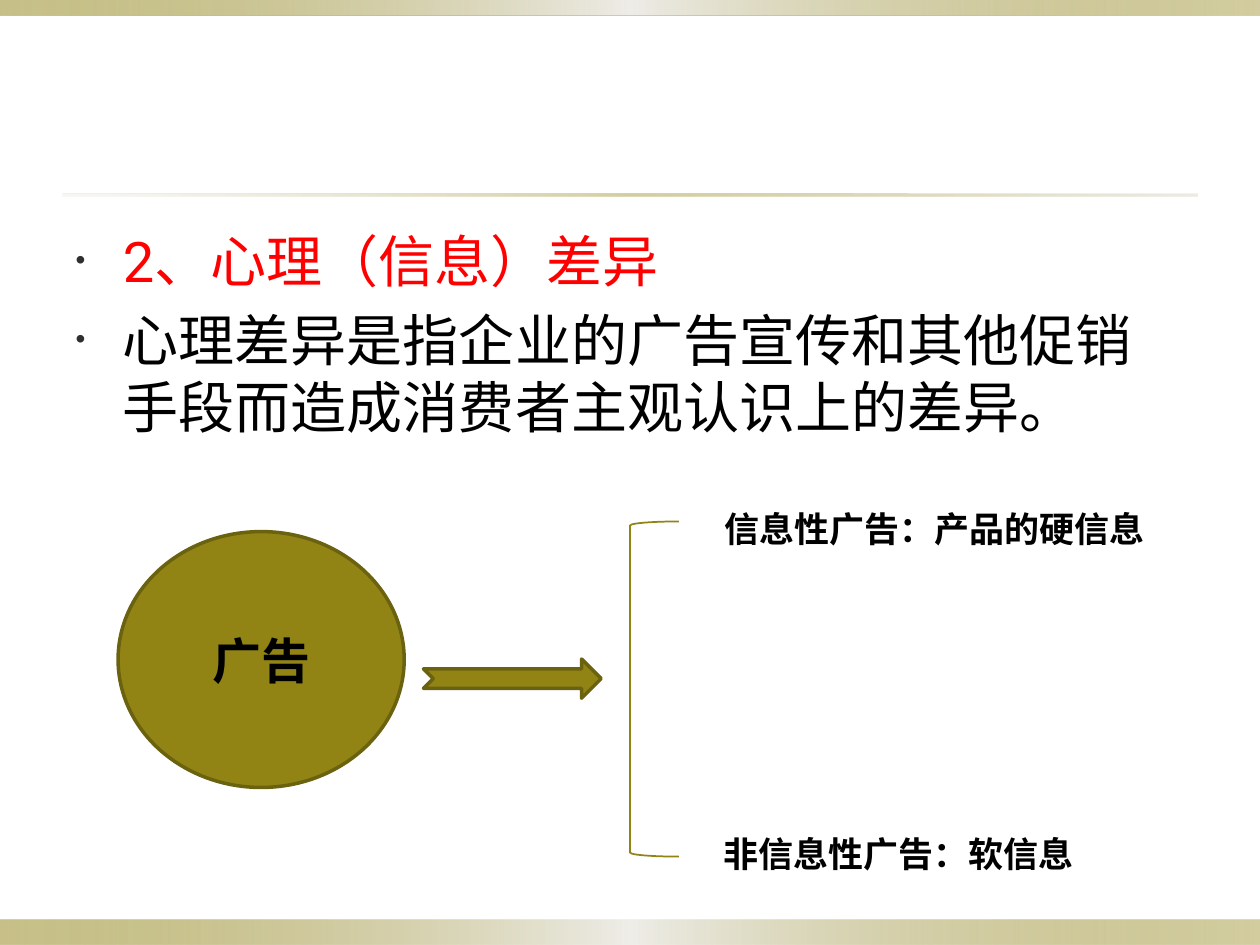
from lxml.etree import SubElement
from pptx import Presentation
from pptx.dml.color import RGBColor
from pptx.enum.shapes import MSO_SHAPE
from pptx.enum.text import MSO_ANCHOR, MSO_AUTO_SIZE, PP_ALIGN
from pptx.oxml.ns import qn
from pptx.util import Pt

COLORS = {
    "olive": "918415",
    "dark_olive": "6B6210",
    "pale": "EEEDE8",
    "sand": "DCD9CC",
    "bullet": "2F2F2F",
    "red": "FF0000",
    "black": "000000",
}


def rgb(name):
    return RGBColor.from_string(COLORS[name])


def write(paragraph, text, size=20, font="Arial", color="black", bold=False,
          align=None):
    paragraph.alignment = align
    run = paragraph.add_run()
    run.text = text
    run.font.size = Pt(size)
    run.font.name = font
    run.font.bold = bold
    run.font.color.rgb = rgb(color)


def add_bullet(paragraph, indent=27):
    properties = paragraph._p.get_or_add_pPr()
    properties.set("marL", str(Pt(indent)))
    properties.set("indent", str(-Pt(indent)))
    paragraph.space_before = Pt(6.4)
    bullet_color = SubElement(properties, qn("a:buClr"))
    SubElement(bullet_color, qn("a:srgbClr"), val=COLORS["bullet"])
    SubElement(properties, qn("a:buSzPct"), val="50000")
    SubElement(properties, qn("a:buFont"), typeface="Arial")
    SubElement(properties, qn("a:buChar"), char="•")


def add_figure(shapes, preset, box, fill=None, line=None, weight=2):
    figure = shapes.add_shape(preset, *map(Pt, box))
    figure.shadow.inherit = False
    if fill:
        figure.fill.solid()
        figure.fill.fore_color.rgb = rgb(fill)
    else:
        figure.fill.background()
    if line:
        figure.line.color.rgb = rgb(line)
        figure.line.width = Pt(weight)
    else:
        figure.line.fill.background()
    return figure


def add_band(shapes, box, stops):
    """Add a horizontal gradient band; stops are (position, colour, opacity)."""
    band = add_figure(shapes, MSO_SHAPE.RECTANGLE, box)
    band.fill.gradient()
    band.fill.gradient_angle = 0
    stop_list = band._element.spPr.find(".//" + qn("a:gsLst"))
    for old_stop in list(stop_list):
        stop_list.remove(old_stop)
    for position, color, opacity in stops:
        stop = SubElement(stop_list, qn("a:gs"), pos=str(position * 1000))
        stop_color = SubElement(stop, qn("a:srgbClr"), val=COLORS[color])
        SubElement(stop_color, qn("a:alpha"), val=str(opacity * 1000))


def add_label(shapes, box, text):
    frame = shapes.add_textbox(*map(Pt, box)).text_frame
    frame.word_wrap = False
    frame.auto_size = MSO_AUTO_SIZE.SHAPE_TO_FIT_TEXT
    write(frame.paragraphs[0], text, bold=True, align=PP_ALIGN.CENTER)


def add_bands(shapes):
    edge_stops = [(0, "olive", 50), (50, "pale", 100), (100, "olive", 40)]
    rule_stops = [(0, "sand", 20), (50, "olive", 40), (100, "sand", 50)]
    add_band(shapes, (0, 525.6, 720, 14.4), edge_stops)
    add_band(shapes, (0, 0, 720, 8.64), edge_stops)
    add_band(shapes, (36, 110.9, 648, 1.44), rule_stops)


def fill_body(body):
    body.left, body.top, body.width, body.height = map(Pt, (36, 126, 648, 138))
    frame = body.text_frame
    frame.auto_size = MSO_AUTO_SIZE.NONE
    heading = frame.paragraphs[0]
    definition = frame.add_paragraph()
    write(heading, "2、心理（信息）差异", size=32, font="Roboto", color="red")
    write(definition,
          "心理差异是指企业的广告宣传和其他促销手段而造成消费者主观认识上的差异。",
          size=32, font="Roboto")
    for paragraph in (heading, definition):
        add_bullet(paragraph)


def add_diagram(shapes):
    # Advertising and the arrow to its two kinds
    advertising = add_figure(shapes, MSO_SHAPE.OVAL, (67.5, 303.8, 163.5, 146.2),
                             fill="olive", line="dark_olive")
    frame = advertising.text_frame
    frame.vertical_anchor = MSO_ANCHOR.MIDDLE
    write(frame.paragraphs[0], "广告", size=28, font="Roboto", bold=True,
          align=PP_ALIGN.CENTER)
    add_figure(shapes, MSO_SHAPE.NOTCHED_RIGHT_ARROW, (242, 376.6, 101.5, 22.4),
               fill="olive", line="dark_olive")

    # Bracket with the two kinds
    add_figure(shapes, MSO_SHAPE.LEFT_BRACKET, (360, 298, 28, 191.5),
               line="olive", weight=1)
    add_label(shapes, (404.8, 286.6, 258.5, 31.5), "信息性广告：产品的硬信息")
    add_label(shapes, (404.8, 472.3, 217.5, 31.5), "非信息性广告：软信息")


def main():
    deck = Presentation()
    deck.slide_width, deck.slide_height = Pt(720), Pt(540)
    slide = deck.slides.add_slide(deck.slide_layouts[1])
    title, body = slide.placeholders
    title._element.getparent().remove(title._element)

    add_bands(slide.shapes)
    fill_body(body)
    add_diagram(slide.shapes.add_group_shape().shapes)
    deck.save("out.pptx")


if __name__ == "__main__":
    main()
